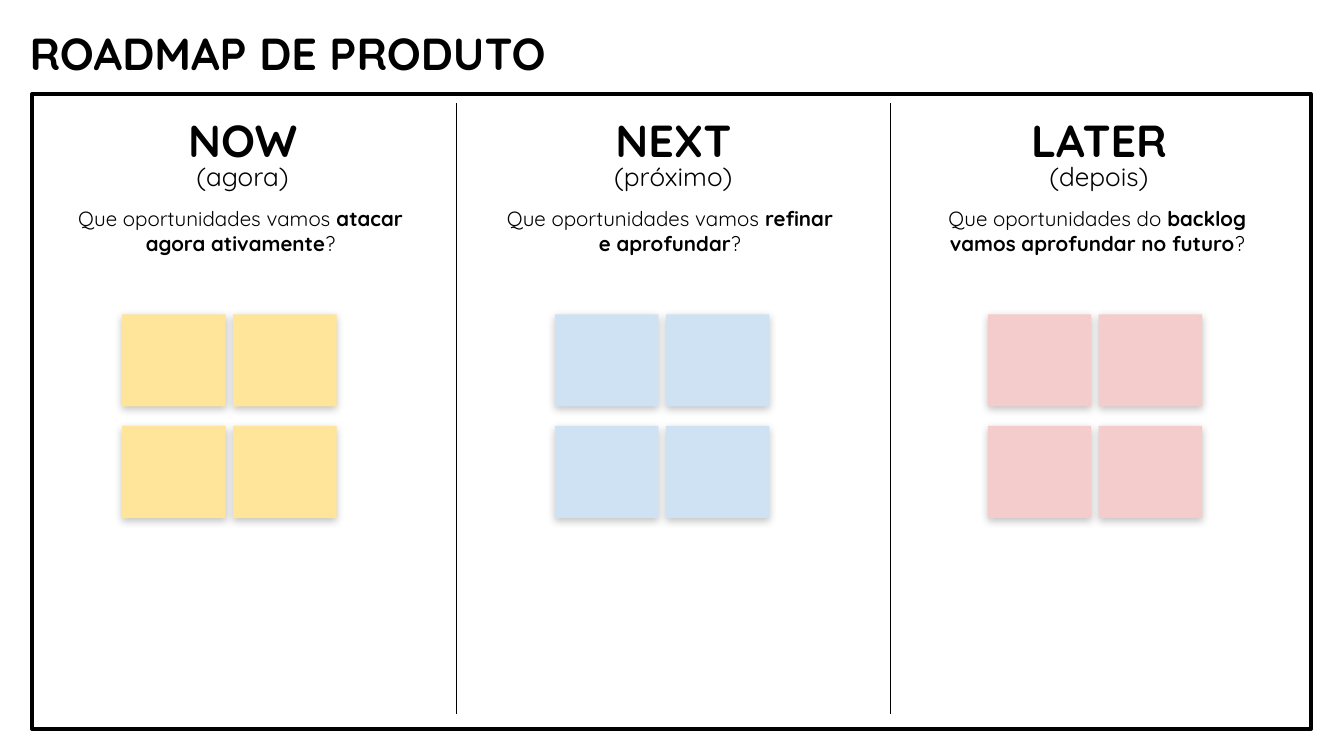
import pptx
import pptx.dml.color
import pptx.enum.shapes
import pptx.enum.text
import pptx.oxml
import pptx.oxml.ns
import pptx.util

PX = 4572
COLORS = {
    "ink": "000000",
    "now": "FFE599",
    "next": "CFE2F3",
    "later": "F4CCCC",
}
SHADOW = (
    f'<a:outerShdw {pptx.oxml.ns.nsdecls("a")} blurRad="57150" dist="19050" '
    'dir="5400000" algn="bl" rotWithShape="0"><a:srgbClr val="000000">'
    '<a:alpha val="24000"/></a:srgbClr></a:outerShdw>'
)
EFFECTS = f'<a:effectLst {pptx.oxml.ns.nsdecls("a")}/>'


def apply(target, values):
    for name, value in values.items():
        setattr(target, name, value)


def rgb(color):
    return pptx.dml.color.RGBColor.from_string(COLORS[color])


class Board:
    font = "Quicksand"
    title = {"size": pptx.util.Pt(24), "bold": True}
    subtitle = {"size": pptx.util.Pt(14), "bold": False}
    body = {"size": pptx.util.Pt(11), "bold": False}
    strong = {"size": pptx.util.Pt(11), "bold": True}
    centered = {"alignment": pptx.enum.text.PP_ALIGN.CENTER}
    heading = {**centered, "line_spacing": 0.8}

    def __init__(self, slide):
        self.slide = slide

    def text(self, box, paragraphs, layout, inset=20, anchor="TOP"):
        frame = self.slide.shapes.add_textbox(*(n * PX for n in box)).text_frame
        sides = ("left", "top", "right", "bottom")
        apply(frame, {f"margin_{side}": inset * PX for side in sides})
        apply(frame, {
            "word_wrap": True,
            "vertical_anchor": getattr(pptx.enum.text.MSO_ANCHOR, anchor),
        })
        for index, runs in enumerate(paragraphs):
            paragraph = frame.add_paragraph() if index else frame.paragraphs[0]
            apply(paragraph, layout)
            for words, style in runs:
                run = paragraph.add_run()
                run.text = words
                apply(run.font, {"name": self.font, **style})
                run.font.color.rgb = rgb("ink")

    def rectangle(self, box):
        rectangle = self.slide.shapes.add_shape(
            pptx.enum.shapes.MSO_SHAPE.RECTANGLE, *(n * PX for n in box))
        rectangle.shadow.inherit = False
        return rectangle

    def border(self, box, width):
        border = self.rectangle(box)
        border.fill.background()
        border.line.color.rgb = rgb("ink")
        border.line.width = pptx.util.Pt(width)

    def note(self, box, color):
        note = self.rectangle(box)
        note.fill.solid()
        note.fill.fore_color.rgb = rgb(color)
        note.line.fill.background()
        effects = note._element.spPr.find(pptx.oxml.ns.qn("a:effectLst"))
        effects.append(pptx.oxml.parse_xml(SHADOW))

    def divider(self, x, top, bottom, width):
        divider = self.slide.shapes.add_connector(
            pptx.enum.shapes.MSO_CONNECTOR.STRAIGHT,
            *(n * PX for n in (x, top, x, bottom)))
        divider.line.color.rgb = rgb("ink")
        divider.line.width = pptx.util.Pt(width)
        divider._element.spPr.append(pptx.oxml.parse_xml(EFFECTS))


STAGES = [
    ("now", "NOW", "(agora)", (99, 524), 91,
     "Que oportunidades vamos ", "atacar agora ativamente"),
    ("next", "NEXT", "(próximo)", (768, 468), 730,
     "Que oportunidades vamos ", "refinar e aprofundar"),
    ("later", "LATER", "(depois)", (1430, 411), 1366,
     "Que oportunidades do ", "backlog vamos aprofundar no futuro"),
]
NOTES_LEFT, NOTES_TOP = 182, 468
STAGE_STEP = 644
NOTE_STEP_X, NOTE_STEP_Y = 165, 166
NOTE_WIDTH, NOTE_HEIGHT = 154, 137


def main():
    presentation = pptx.Presentation()
    apply(presentation, {"slide_width": 2000 * PX, "slide_height": 1125 * PX})
    board = Board(presentation.slides.add_slide(presentation.slide_layouts[6]))

    board.text((36, 33, 1676, 90), [[("ROADMAP DE PRODUTO", board.title)]],
               {}, inset=8, anchor="MIDDLE")
    board.border((48, 140, 1903, 945), 2.25)
    for x in (679, 1325):
        board.divider(x, 154, 1062, 0.75)

    for index, stage in enumerate(STAGES):
        color, name, translation, (left, width), question_left, lead, focus = stage
        board.text((question_left, 287, 534, 110),
                   [[(lead, board.body), (focus, board.strong), ("?", board.body)]],
                   board.centered)
        board.text((left, 163, width, 128),
                   [[(name, board.title)], [(translation, board.subtitle)]],
                   board.heading)
        for row in range(2):
            for column in range(2):
                x = NOTES_LEFT + index * STAGE_STEP + column * NOTE_STEP_X
                y = NOTES_TOP + row * NOTE_STEP_Y
                board.note((x, y, NOTE_WIDTH, NOTE_HEIGHT), color)

    presentation.save("out.pptx")


if __name__ == "__main__":
    main()
